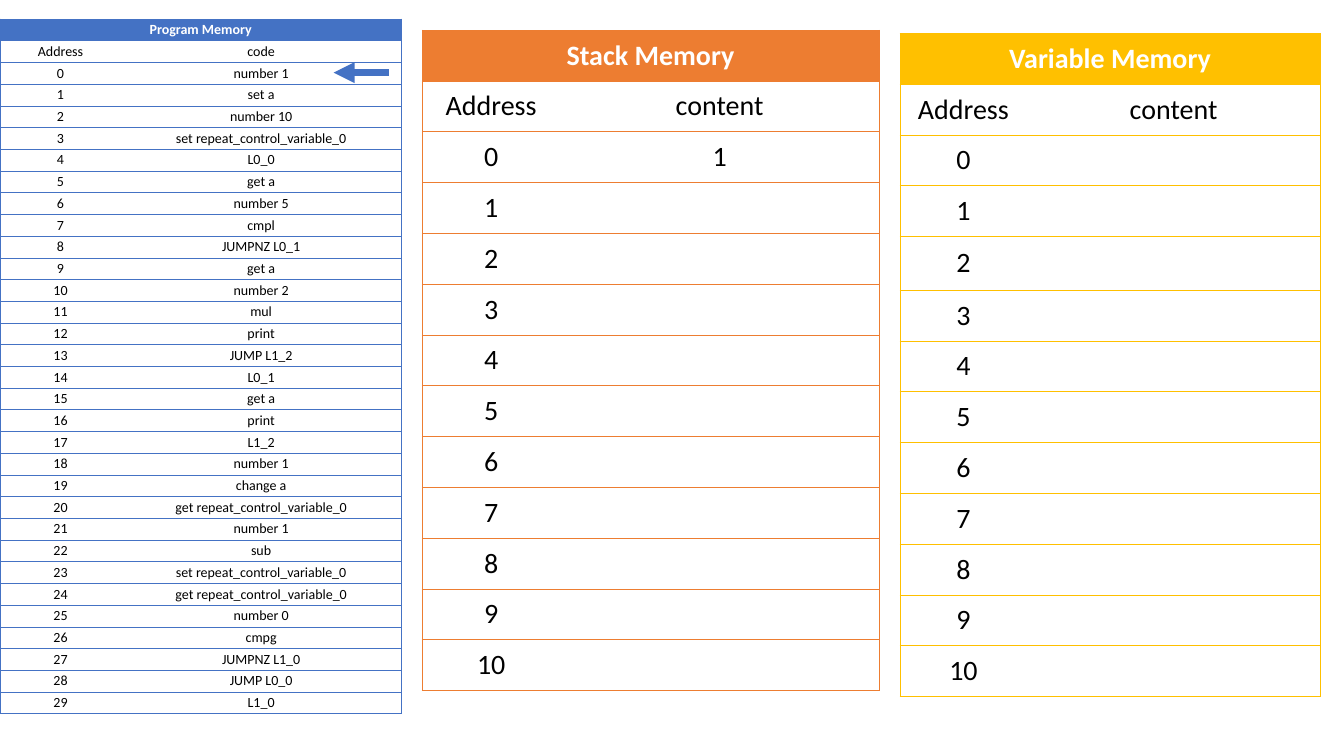
import lxml.etree
import pptx
import pptx.dml.color
import pptx.enum.shapes
import pptx.enum.text
import pptx.oxml.ns
import pptx.util

Cm = pptx.util.Cm
Pt = pptx.util.Pt
qn = pptx.oxml.ns.qn

COLORS = {
    "program": "4472C4",
    "stack": "ED7D31",
    "variable": "FFC000",
    "white": "FFFFFF",
    "black": "000000",
}
FONT = "Calibri"
PLAIN_TABLE_STYLE = "{2D5ABB26-0587-4C30-8999-92F81FD0307C}"

PROGRAM = [
    "number 1", "set a", "number 10", "set repeat_control_variable_0", "L0_0",
    "get a", "number 5", "cmpl", "JUMPNZ L0_1", "get a",
    "number 2", "mul", "print", "JUMP L1_2", "L0_1",
    "get a", "print", "L1_2", "number 1", "change a",
    "get repeat_control_variable_0", "number 1", "sub",
    "set repeat_control_variable_0", "get repeat_control_variable_0",
    "number 0", "cmpg", "JUMPNZ L1_0", "JUMP L0_0", "L1_0",
]
STACK = ["1"] + [""] * 10
VARIABLES = [""] * 11

# Lengths in centimetres; "taller" maps a row index to its own height
MEMORIES = [
    {"title": "Program Memory", "heading": "code", "values": PROGRAM,
     "color": "program", "left": 0, "top": 0.48, "columns": (3.05, 7.06),
     "row": 0.547, "taller": {}, "size": 10},
    {"title": "Stack Memory", "heading": "content", "values": STACK,
     "color": "stack", "left": 10.64, "top": 0.76, "columns": (3.48, 8.03),
     "row": 1.28, "taller": {}, "size": 20},
    {"title": "Variable Memory", "heading": "content", "values": VARIABLES,
     "color": "variable", "left": 22.68, "top": 0.84, "columns": (3.2, 7.39),
     "row": 1.28, "taller": {4: 1.35}, "size": 20},
]
ARROW = {"start": 9.8, "end": 8.41, "y": 1.83, "width": 5}


def rgb(name):
    return pptx.dml.color.RGBColor.from_string(COLORS[name])


def add_borders(cell, sides, color):
    properties = cell._tc.get_or_add_tcPr()
    for side in sides:
        line = lxml.etree.SubElement(properties, qn(f"a:ln{side}"), w=str(Pt(0.5)))
        fill = lxml.etree.SubElement(line, qn("a:solidFill"))
        lxml.etree.SubElement(fill, qn("a:srgbClr"), val=COLORS[color])


def format_cell(cell, text, size, font_color, fill_color, bold):
    cell.margin_left = cell.margin_right = cell.margin_top = cell.margin_bottom = 0
    cell.vertical_anchor = pptx.enum.text.MSO_ANCHOR.MIDDLE
    cell.fill.solid()
    cell.fill.fore_color.rgb = rgb(fill_color)
    paragraph = cell.text_frame.paragraphs[0]
    paragraph.alignment = pptx.enum.text.PP_ALIGN.CENTER
    if text:
        run = paragraph.add_run()
        run.text = text
        run.font.name = FONT
        run.font.size = Pt(size)
        run.font.bold = bold
        run.font.color.rgb = rgb(font_color)


def add_memory(slide, memory):
    rows = [(memory["title"], ""), ("Address", memory["heading"])]
    rows += [(str(address), value) for address, value in enumerate(memory["values"])]
    heights = [memory["taller"].get(index, memory["row"]) for index in range(len(rows))]
    frame = slide.shapes.add_table(
        len(rows), 2, Cm(memory["left"]), Cm(memory["top"]),
        Cm(sum(memory["columns"])), Cm(sum(heights)))
    table = frame.table
    table.horz_banding = False
    table._tbl.tblPr.find(qn("a:tableStyleId")).text = PLAIN_TABLE_STYLE
    for column, width in zip(table.columns, memory["columns"]):
        column.width = Cm(width)
    for row, height in zip(table.rows, heights):
        row.height = Cm(height)
    table.cell(0, 0).merge(table.cell(0, 1))

    for row_index, texts in enumerate(rows):
        is_title = row_index == 0
        for column_index, text in enumerate(texts):
            cell = table.cell(row_index, column_index)
            sides = "LRTB" if is_title else ("LTB", "RTB")[column_index]
            add_borders(cell, sides, memory["color"])
            format_cell(cell, text, memory["size"],
                        "white" if is_title else "black",
                        memory["color"] if is_title else "white", is_title)


def add_arrow(slide):
    arrow = slide.shapes.add_connector(
        pptx.enum.shapes.MSO_CONNECTOR.STRAIGHT,
        Cm(ARROW["start"]), Cm(ARROW["y"]), Cm(ARROW["end"]), Cm(ARROW["y"]))
    arrow.line.color.rgb = rgb("program")
    arrow.line.width = Pt(ARROW["width"])
    lxml.etree.SubElement(arrow.line._get_or_add_ln(), qn("a:tailEnd"), type="triangle")
    lxml.etree.SubElement(arrow._element.spPr, qn("a:effectLst"))


def main():
    presentation = pptx.Presentation()
    presentation.slide_width = Cm(33.87)
    presentation.slide_height = Cm(19.05)
    slide = presentation.slides.add_slide(presentation.slide_layouts[6])

    # Three memory tables
    for memory in MEMORIES:
        add_memory(slide, memory)

    # Pointer to the current instruction
    add_arrow(slide)

    presentation.save("out.pptx")


if __name__ == "__main__":
    main()
